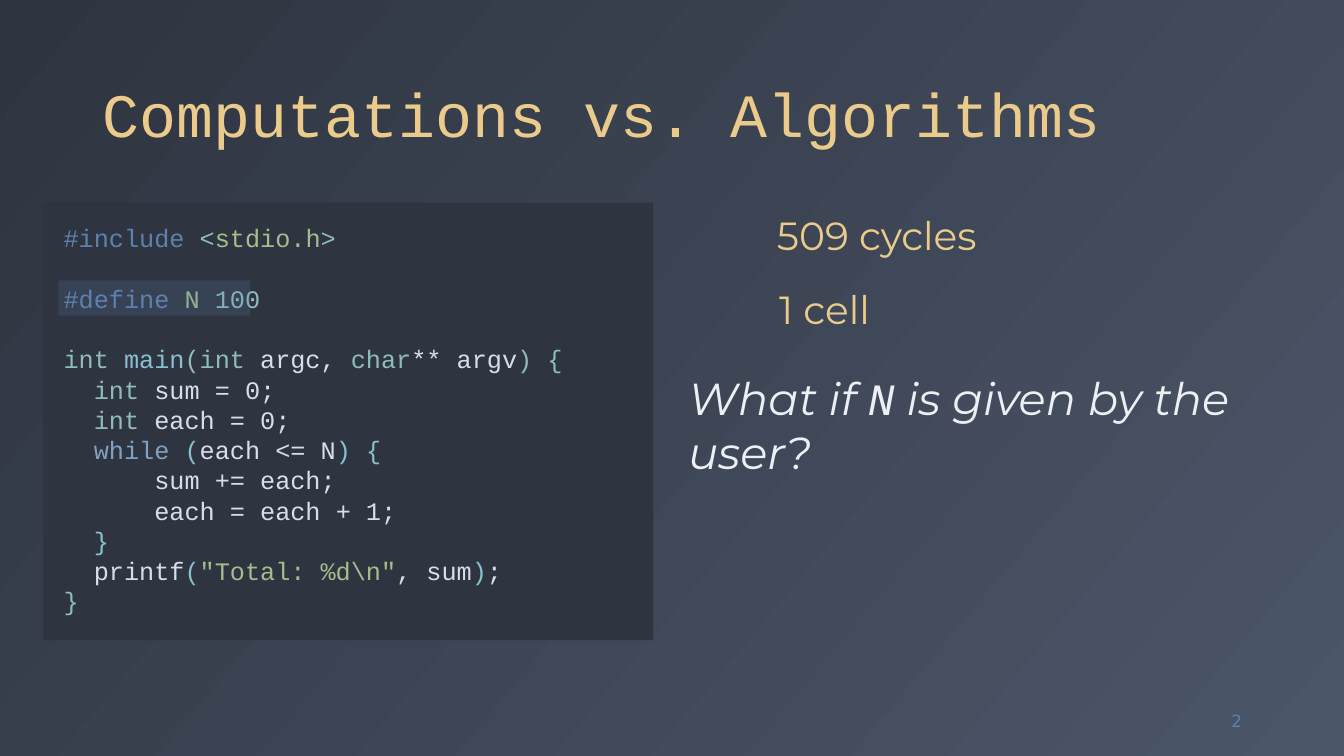
from lxml import etree
from pptx import Presentation
from pptx.dml.color import RGBColor
from pptx.enum.shapes import MSO_SHAPE
from pptx.enum.text import MSO_ANCHOR, PP_ALIGN
from pptx.oxml.ns import qn
from pptx.util import Pt

RECTANGLE = MSO_SHAPE.RECTANGLE
TOP, MIDDLE, BOTTOM = MSO_ANCHOR.TOP, MSO_ANCHOR.MIDDLE, MSO_ANCHOR.BOTTOM
LEFT, RIGHT = PP_ALIGN.LEFT, PP_ALIGN.RIGHT

NIGHT, SLATE = "2E3440", "4C5669"
BLUE, SKY, CYAN, TEAL = "5E81AC", "81A1C1", "88C0D0", "8FBCBB"
GREEN, YELLOW, PALE, WHITE = "A3BE8C", "EBCB8B", "D8DEE9", "ECEFF3"
MONO, SANS, NUMBER = "Courier New", "Montserrat", "DejaVu Sans"
BLANK_LINE = 21.6

CODE = [
    [("#include ", BLUE), ("<", TEAL), ("stdio.h", GREEN), (">", TEAL)],
    [("#define ", BLUE), ("N", GREEN), (" 100", TEAL)],
    [("int ", TEAL), ("main", CYAN), ("(int ", TEAL), ("argc, ", PALE),
     ("char", TEAL), ("** argv", PALE), (") {", TEAL)],
    [("  int ", TEAL), ("sum = 0;", PALE)],
    [("  int ", TEAL), ("each = 0;", PALE)],
    [("  while ", SKY), ("(", CYAN), ("each <= N", PALE), (") {", CYAN)],
    [("      sum += each;", PALE)],
    [("      each = each + 1;", PALE)],
    [("  }", CYAN)],
    [("  printf", PALE), ("(", CYAN), ('"Total: %d\\n"', GREEN),
     (", sum", PALE), (")", CYAN), (";", PALE)],
    [("}", TEAL)],
]
LINES_AFTER_BLANK = (1, 2)


def colour(value):
    """Turn a hex string into a colour."""
    return RGBColor.from_string(value)


def apply(target, values):
    """Set every attribute named in a dict."""
    for name, value in values.items():
        setattr(target, name, value)


class SlideBuilder:
    """Holds the style and the current slide."""

    def __init__(self, deck):
        """Add a page with the title layout."""
        self.page = deck.slides.add_slide(deck.slide_layouts[5])

    def background(self, start, end, angle):
        """Fill the page with a two-colour gradient."""
        fill = self.page.background.fill
        fill.gradient()
        fill.gradient_angle = angle
        for stop, value, position in zip(fill.gradient_stops, (start, end), (0, 1)):
            stop.color.rgb = colour(value)
            stop.position = position

    def frame(self, box, anchor=TOP, wrap=True, inset=None):
        """Format and return the text frame of a box."""
        frame = box.text_frame
        apply(frame, {"word_wrap": wrap, "vertical_anchor": anchor})
        if inset is not None:
            sides = ("margin_left", "margin_top", "margin_right", "margin_bottom")
            apply(frame, dict.fromkeys(sides, Pt(inset)))
        return frame

    def add_spans(self, para, spans, size, font=SANS, italic=False, **layout):
        """Add spans of text, colour and optional font to a paragraph."""
        apply(para, {"alignment": LEFT, **layout})
        for text, value, *own_font in spans:
            span = para.add_run()
            span.text = text
            name = own_font[0] if own_font else font
            apply(span.font, {"size": Pt(size), "name": name, "italic": italic})
            span.font.color.rgb = colour(value)

    def title(self, place, text):
        """Place and fill the title placeholder."""
        box = self.page.shapes.title
        apply(box, dict(zip(("left", "top", "width", "height"), map(Pt, place))))
        para = self.frame(box, BOTTOM).paragraphs[0]
        self.add_spans(para, [(text, YELLOW)], 44, MONO, line_spacing=0.9)

    def text(self, place, spans, size, anchor=TOP, wrap=True, **style):
        """Add a text box with one paragraph."""
        box = self.page.shapes.add_textbox(*map(Pt, place))
        para = self.frame(box, anchor, wrap).paragraphs[0]
        self.add_spans(para, spans, size, **style)

    def panel(self, place, value, opacity=100):
        """Add a plain rectangle without outline."""
        box = self.page.shapes.add_shape(RECTANGLE, *map(Pt, place))
        box.shadow.inherit = False
        box.line.fill.background()
        box.fill.solid()
        box.fill.fore_color.rgb = colour(value)
        if opacity < 100:
            tint = next(box.element.spPr.iter(qn("a:srgbClr")))
            etree.SubElement(tint, qn("a:alpha"), val=str(opacity * 1000))
        return box

    def code(self, place, lines):
        """Add a dark panel with coloured code lines."""
        frame = self.frame(self.panel(place, NIGHT), inset=14.4)
        for index, spans in enumerate(lines):
            para = frame.add_paragraph() if index else frame.paragraphs[0]
            gap = BLANK_LINE if index in LINES_AFTER_BLANK else 0
            self.add_spans(para, spans, 18, MONO, space_before=Pt(gap))


def main():
    """Build and save the deck."""
    deck = Presentation()
    apply(deck, {"slide_width": Pt(960), "slide_height": Pt(540)})
    slide = SlideBuilder(deck)
    slide.background(NIGHT, SLATE, 320)
    slide.code((31, 144.7, 435.6, 312.5), CODE)
    slide.title((66.2, 13, 828, 98), "Computations vs. Algorithms")
    slide.text((834.5, 500.4, 59.8, 28.8), [("2", BLUE)], 12, MIDDLE,
               font=NUMBER, alignment=RIGHT)
    slide.panel((41.8, 200.2, 136.8, 25.2), BLUE, 20)
    slide.text((547.9, 147.6, 159.1, 41), [("509 cycles", YELLOW)], 28, wrap=False)
    slide.text((549.4, 200.2, 80.6, 41), [("1 cell", YELLOW)], 28, wrap=False)
    question = [("What if ", WHITE), ("N", WHITE, MONO),
                (" is given by the user?", WHITE)]
    slide.text((484.6, 261.4, 434.2, 85), question, 32, italic=True)
    deck.save("out.pptx")


if __name__ == "__main__":
    main()
